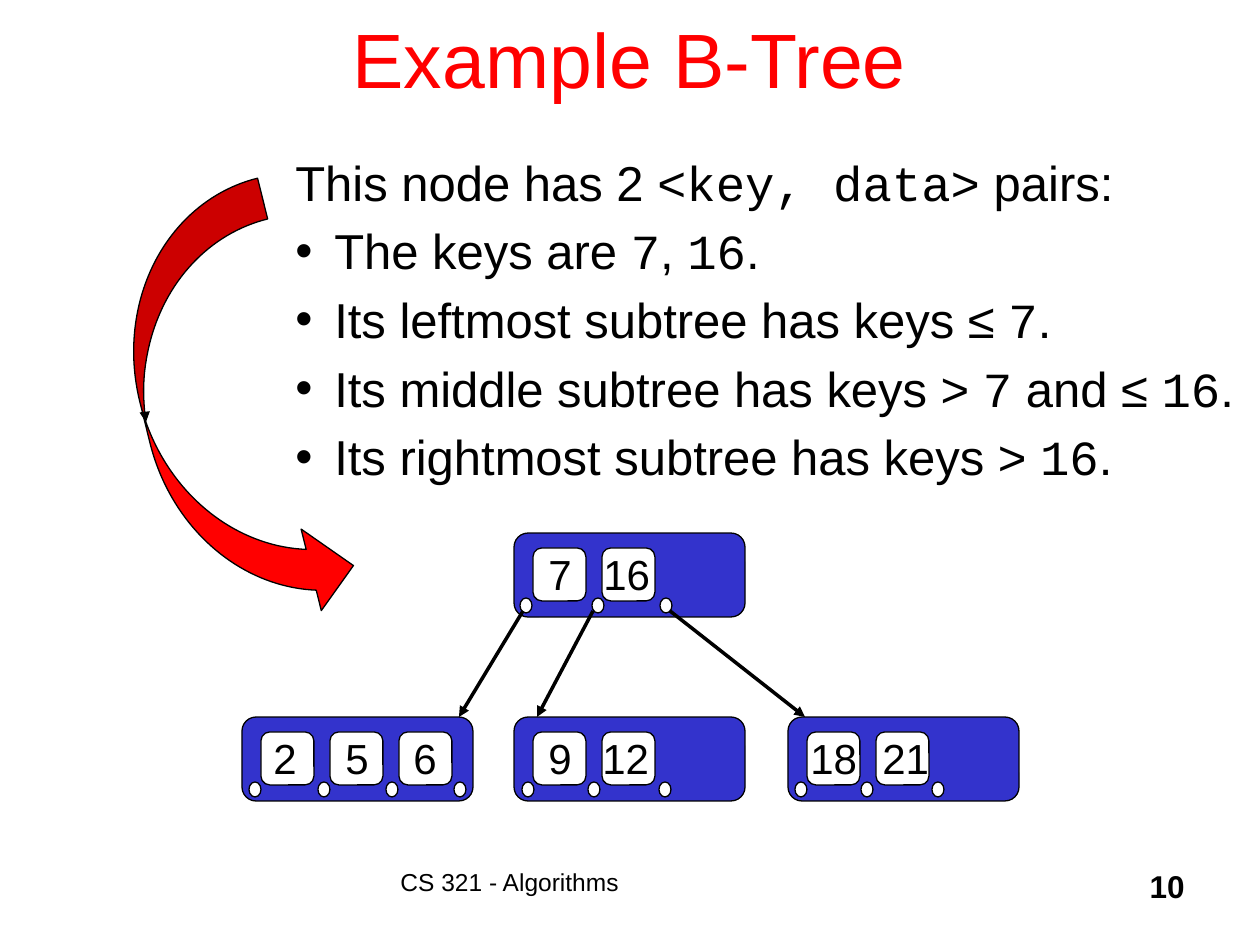
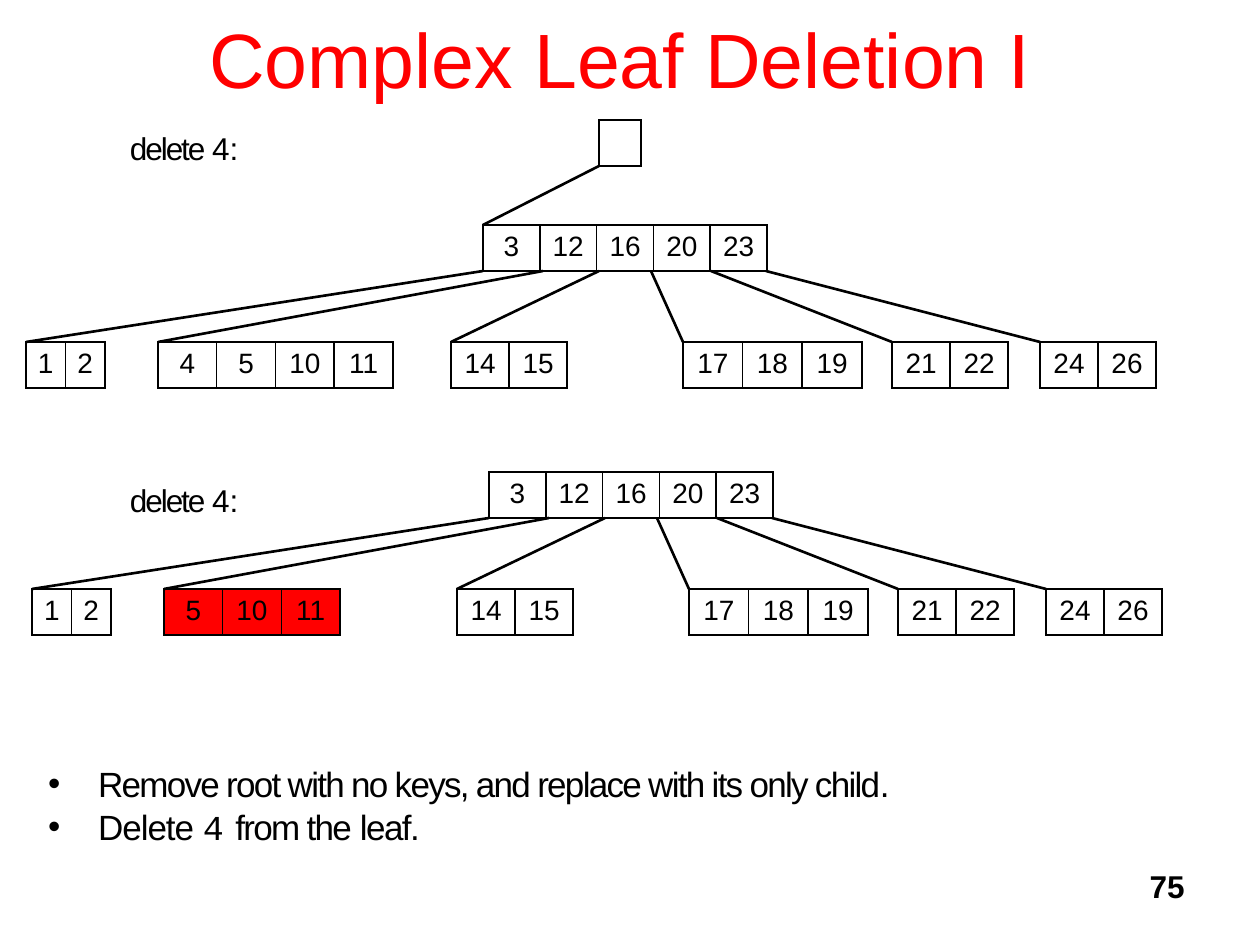
from lxml.etree import SubElement
from pptx import Presentation
from pptx.dml.color import RGBColor
from pptx.enum.shapes import MSO_CONNECTOR, MSO_SHAPE as SHAPE
from pptx.enum.text import MSO_ANCHOR as ANCHOR, PP_ALIGN as ALIGN
from pptx.oxml.ns import qn
from pptx.util import Pt

RED = RGBColor(0xFF, 0, 0)
BLUE = RGBColor(0x33, 0x33, 0xCC)
BLACK = RGBColor(0, 0, 0)
WHITE = RGBColor(0xFF, 0xFF, 0xFF)
SANS, MONO = "Arial", "Courier New"
PX = 914400 / 126

FACTS = [
    "This node has 2 |<key, data>| pairs:",
    "The keys are |7|, |16|.",
    "Its leftmost subtree has keys ≤ |7|.",
    "Its middle subtree has keys > |7| and ≤ |16|.",
    "Its rightmost subtree has keys > |16|.",
]
NODES = [
    {"at": (514, 533), "keys": [("7", 3), ("16", -11)], "dots": (6, 78, 146)},
    {"at": (242, 717), "keys": [("2", 0), ("5", 3), ("6", 2)], "dots": (7, 76, 144, 212)},
    {"at": (514, 717), "keys": [("9", 3), ("12", -12)], "dots": (8, 74, 145)},
    {"at": (788, 717), "keys": [("18", -9), ("21", -6)], "dots": (7, 73, 144)},
]
POINTERS = [((523, 611), (459, 717)), ((593, 611), (537, 717)), ((670, 611), (805, 717))]

ROOT_KEYS = (3, 12, 16, 20, 23)
LEAVES = [
    {"x": 26, "w": 79, "keys": (1, 2), "start": 483},
    {"x": 158, "w": 235, "keys": (4, 5, 10, 11), "start": 543},
    {"x": 451, "w": 116, "keys": (14, 15), "start": 599},
    {"x": 683, "w": 179, "keys": (17, 18, 19), "start": 651},
    {"x": 892, "w": 116, "keys": (21, 22), "start": 711},
    {"x": 1040, "w": 116, "keys": (24, 26), "start": 766},
]
CHANGED_LEAF = {"x": 158, "w": 176, "keys": (5, 10, 11), "start": 543, "fill": RED}
TREES = [
    ((0, 0), LEAVES),
    ((6, 247), [LEAVES[0], CHANGED_LEAF, *LEAVES[2:]]),
]
DELETE_LABEL = [("delete ", SANS, -120), ("4", SANS, 0), (":", SANS, -120)]
STEPS = [
    [("Remove root with no keys, and replace with its only child", SANS, -100),
     (".", SANS, -130)],
    [("Delete ", SANS, -60), ("4", MONO, -10), (" ", SANS, 100),
     ("from the ", SANS, -100), ("leaf.", SANS, -90)],
]


def px(*values):
    return [round(v * PX) for v in values]


def style(obj, **values):
    for name, value in values.items():
        setattr(obj, name, value)


def add_run(p, text, size, color=BLACK, name=SANS, bold=False, spc=0):
    r = p.add_run()
    r.text = text
    style(r.font, size=Pt(size), name=name, bold=bold)
    r.font.color.rgb = color
    if spc:
        r._r.get_or_add_rPr().set("spc", str(spc))


def add_bullet(p, indent, tab=None):
    pPr = p._p.get_or_add_pPr()
    margin = px(indent)[0]
    pPr.set("marL", str(margin))
    pPr.set("indent", str(-margin))
    SubElement(pPr, qn("a:buFont"), typeface=SANS)
    SubElement(pPr, qn("a:buChar"), char="•")
    if tab:
        tabs = SubElement(pPr, qn("a:tabLst"))
        SubElement(tabs, qn("a:tab"), pos=str(px(tab)[0]), algn="l")


def add_text(slide, box, paragraphs, size, align=ALIGN.LEFT, bold=False, gap=0,
             inset=True, bullets_from=None, indent=0, tab=None):
    tf = slide.shapes.add_textbox(*px(*box)).text_frame
    tf.word_wrap = True
    if not inset:
        style(tf, margin_left=0, margin_right=0, margin_top=Pt(0.72), margin_bottom=0)
    for i, runs in enumerate(paragraphs):
        p = tf.paragraphs[0] if i == 0 else tf.add_paragraph()
        if bullets_from is not None and i >= bullets_from:
            add_bullet(p, indent, tab)
        p.alignment = align
        if i and gap:
            p.space_before = Pt(gap)
        for text, name, spc in runs:
            add_run(p, text, size, name=name, bold=bold, spc=spc)


def plain(text):
    return [[(text, SANS, 0)]]


def mixed(text):
    return [(part, MONO if i % 2 else SANS, 0) for i, part in enumerate(text.split("|"))]


def add_shape(slide, kind, box, fill):
    sp = slide.shapes.add_shape(kind, *px(*box))
    sp.shadow.inherit = False
    sp.fill.solid()
    sp.fill.fore_color.rgb = fill
    sp.line.color.rgb = BLACK
    sp.line.width = Pt(0.75)
    return sp


def add_arrowhead(line):
    SubElement(line._get_or_add_ln(), qn("a:tailEnd"), type="triangle")


def add_line(slide, start, end, width, arrow=False):
    c = slide.shapes.add_connector(MSO_CONNECTOR.STRAIGHT, *px(*start, *end))
    c.line.color.rgb = BLACK
    c.line.width = Pt(width)
    if arrow:
        add_arrowhead(c.line)
    SubElement(c._element.spPr, qn("a:effectLst"))


def add_borders(cell):
    tcPr = cell._tc.get_or_add_tcPr()
    for side in ("lnL", "lnR", "lnT", "lnB"):
        ln = SubElement(tcPr, qn("a:" + side), w=str(Pt(1)))
        fill = SubElement(ln, qn("a:solidFill"))
        SubElement(fill, qn("a:srgbClr"), val=str(BLACK))


def add_keys(slide, x, y, w, keys, fill=WHITE):
    tbl = slide.shapes.add_table(1, len(keys), *px(x, y, w, 46)).table
    style(tbl, first_row=False, horz_banding=False)
    for col, key in enumerate(keys):
        tbl.columns[col].width = px(w / len(keys))[0]
        cell = tbl.cell(0, col)
        style(cell, margin_left=0, margin_right=0, margin_top=0, margin_bottom=px(2)[0],
              vertical_anchor=ANCHOR.MIDDLE)
        add_borders(cell)
        cell.fill.solid()
        cell.fill.fore_color.rgb = fill
        if key != "":
            p = cell.text_frame.paragraphs[0]
            p.alignment = ALIGN.CENTER
            add_run(p, str(key), 16)


def add_slide(prs, title, x, w, number):
    slide = prs.slides.add_slide(prs.slide_layouts[5])
    sp = slide.shapes.title
    left, top, width, height = px(x, -21, w, 157)
    style(sp, left=left, top=top, width=width, height=height)
    tf = sp.text_frame
    tf.vertical_anchor = ANCHOR.MIDDLE
    p = tf.paragraphs[0]
    p.alignment = ALIGN.CENTER
    add_run(p, title, 44, RED)
    add_text(slide, (935, 861, 262, 63), plain(number), 18, ALIGN.RIGHT, bold=True)
    return slide


def add_node(slide, at, keys, dots):
    x, y = at
    add_shape(slide, SHAPE.ROUNDED_RECTANGLE, (x, y, 231, 84), BLUE)
    for i, (key, shift) in enumerate(keys):
        left = x + 19 + 69 * i
        add_shape(slide, SHAPE.ROUNDED_RECTANGLE, (left, y + 15, 53, 53), WHITE)
        add_text(slide, (left + shift, y + 9, 53 if len(key) == 1 else 85, 63),
                 plain(key), 24)
    for dot in dots:
        add_shape(slide, SHAPE.OVAL, (x + dot, y + 65, 12, 15), WHITE)


def add_tree(slide, offset, leaves):
    dx, dy = offset
    add_keys(slide, 483 + dx, 225 + dy, 284, ROOT_KEYS)
    for leaf in leaves:
        x = leaf["x"] + dx
        add_keys(slide, x, 342 + dy, leaf["w"], leaf["keys"], leaf.get("fill", WHITE))
        add_line(slide, (leaf["start"] + dx, 271 + dy), (x, 342 + dy), 1.5)


def example_slide(prs):
    slide = add_slide(prs, "Example B-Tree", 94, 1071, "10")
    add_text(slide, (283, 146, 980, 357), [mixed(f) for f in FACTS], 28, gap=5.6,
             bullets_from=1, indent=39)
    arrow = add_shape(slide, SHAPE.CURVED_RIGHT_ARROW, (145, 192, 168, 441), RED)
    arrow.rotation = 346.1
    add_arrowhead(arrow.line)
    add_text(slide, (388, 861, 483, 63), plain("CS 321 - Algorithms"), 14)
    for node in NODES:
        add_node(slide, **node)
    for start, end in POINTERS:
        add_line(slide, start, end, 2, arrow=True)


def deletion_slide(prs):
    slide = add_slide(prs, "Complex Leaf Deletion I", 128, 985, "75")
    add_keys(slide, 599, 120, 42, [""])
    add_line(slide, (599, 166), (483, 225), 1.5)
    for offset, leaves in TREES:
        add_tree(slide, offset, leaves)
    for y in (128, 480):
        add_text(slide, (130, y, 123, 40), [DELETE_LABEL], 18, inset=False)
    add_text(slide, (48, 761, 1038, 88), STEPS, 20, ALIGN.JUSTIFY, gap=0.7,
             inset=False, bullets_from=0, indent=50, tab=24)


def main():
    prs = Presentation()
    prs.slide_width, prs.slide_height = px(1260, 945)
    example_slide(prs)
    deletion_slide(prs)
    prs.save("out.pptx")


if __name__ == "__main__":
    main()
